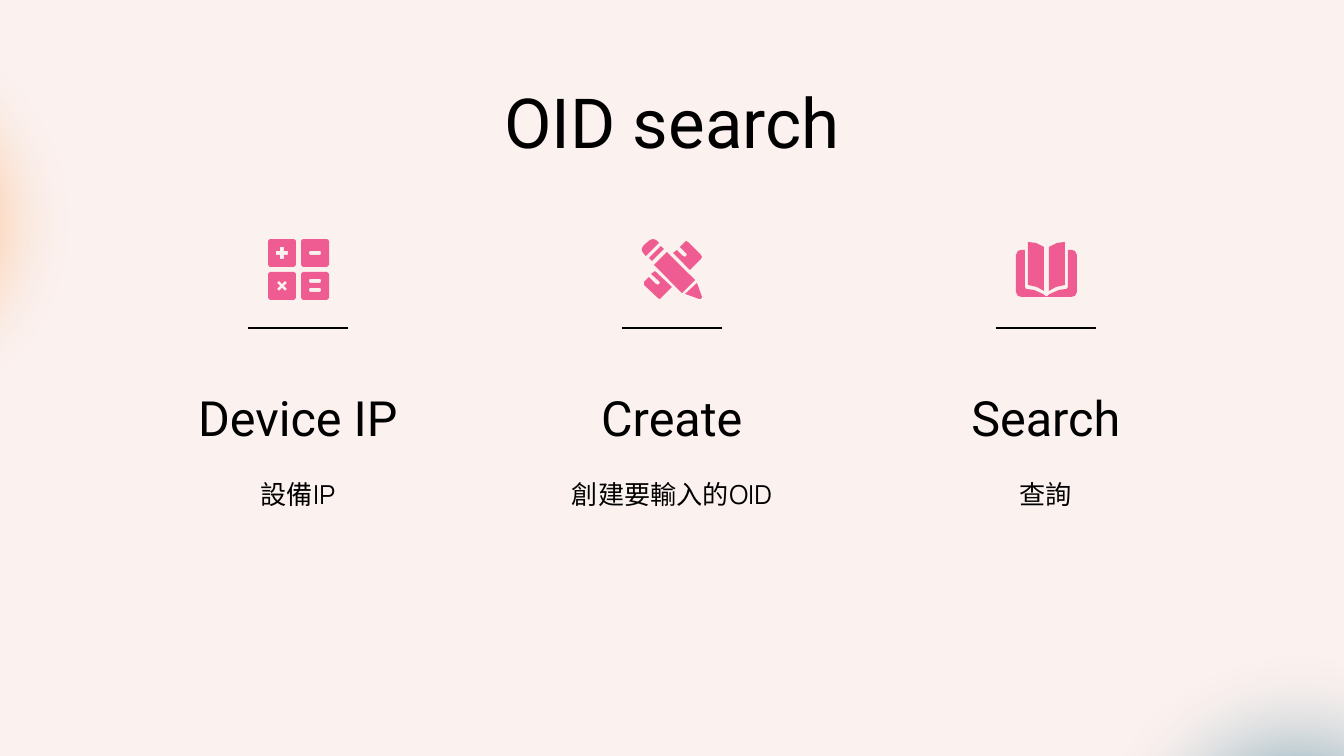
import pptx
import pptx.util
import pptx.oxml
import pptx.oxml.ns
from pptx.dml.color import RGBColor
from pptx.enum.shapes import MSO_CONNECTOR, MSO_SHAPE
from pptx.enum.text import MSO_ANCHOR, PP_ALIGN

PX = 914400 / 134.4
BACKGROUND = RGBColor(0xFB, 0xF1, 0xEF)
INK = RGBColor(0x01, 0x00, 0x00)
PINK = RGBColor(0xEE, 0x5C, 0x91)
ORANGE = RGBColor(0xF9, 0x8F, 0x29)
TEAL = RGBColor(0x63, 0x98, 0xAA)

COLUMN_CENTER, COLUMN_PITCH, COLUMN_WIDTH = 298, 374, 320
ICON_TOP, ICON_SIZE = 239, 61
TILE_SIZE, TILE_PITCH = 28, 33


def px(n):
    return pptx.util.Emu(round(n * PX))


def add_glow(s, x, y, size, color, opacity, middle):
    sp = s.shapes.add_shape(MSO_SHAPE.OVAL, px(x), px(y), px(size), px(size))
    sp.shadow.inherit = False
    sp.line.fill.background()
    stops = [(0, color, opacity), (middle, color, 56),
             (middle + 39, BACKGROUND, 0), (100, BACKGROUND, 0)]
    gs = "".join(
        f'<a:gs pos="{pos * 1000}"><a:srgbClr val="{c}">'
        f'<a:alpha val="{alpha * 1000}"/></a:srgbClr></a:gs>'
        for pos, c, alpha in stops)
    gradient = pptx.oxml.parse_xml(
        f'<a:gradFill {pptx.oxml.ns.nsdecls("a")} rotWithShape="1"><a:gsLst>{gs}</a:gsLst>'
        '<a:path path="circle"><a:fillToRect l="50000" t="50000" r="50000" b="50000"/>'
        '</a:path></a:gradFill>')
    sp._element.spPr.find(pptx.oxml.ns.qn("a:prstGeom")).addnext(gradient)


def add_text(s, text, x, y, w, h, font, size, anchor=MSO_ANCHOR.TOP, spacing=None):
    tf = s.shapes.add_textbox(px(x), px(y), px(w), px(h)).text_frame
    tf.word_wrap = True
    tf.vertical_anchor = anchor
    tf.margin_left = tf.margin_right = tf.margin_top = tf.margin_bottom = pptx.util.Inches(0.1)
    p = tf.paragraphs[0]
    p.text = text
    p.alignment = PP_ALIGN.CENTER
    p.line_spacing = spacing
    p.font.name = font
    p.font.size = pptx.util.Pt(size)
    p.font.color.rgb = INK


def add_rule(s, x, y, w):
    line = s.shapes.add_connector(MSO_CONNECTOR.STRAIGHT, px(x), px(y), px(x + w), px(y))
    line.line.color.rgb = INK
    line.line.width = pptx.util.Pt(0.75)
    line._element.spPr.append(
        pptx.oxml.parse_xml(f'<a:effectLst {pptx.oxml.ns.nsdecls("a")}/>'))


def add_icon(s, x, y, parts):
    group = s.shapes.add_group_shape()
    for contours in parts:
        builder = group.shapes.build_freeform(*contours[0][0], scale=PX)
        builder.add_line_segments(contours[0][1:])
        for contour in contours[1:]:
            builder.move_to(*contour[0])
            builder.add_line_segments(contour[1:])
        sp = builder.convert_to_shape(px(x), px(y))
        sp.shadow.inherit = False
        sp.fill.solid()
        sp.fill.fore_color.rgb = PINK
        sp.line.fill.background()


def rounded(x, y, w, h, r):
    return [(x + r, y), (x + w - r, y), (x + w, y + r), (x + w, y + h - r),
            (x + w - r, y + h), (x + r, y + h), (x, y + h - r), (x, y + r)]


def mirrored(points):
    return [(ICON_SIZE - x, y) for x, y in points]


def shifted(points, dx, dy):
    return [(x + dx, y + dy) for x, y in points]


def calculator_parts():
    plus = [(12, 8), (16, 8), (16, 12), (20, 12), (20, 16), (16, 16),
            (16, 20), (12, 20), (12, 16), (8, 16), (8, 12), (12, 12)]
    times = [(9, 11), (11, 9), (14, 12), (17, 9), (19, 11), (16, 14),
             (19, 17), (17, 19), (14, 16), (11, 19), (9, 17), (12, 14)]
    signs = [[plus], [rounded(8, 12, 12, 4, 1)], [times],
             [rounded(8, y, 12, 4, 1) for y in (7, 16)]]
    tile = rounded(0, 0, TILE_SIZE, TILE_SIZE, 2)
    return [[shifted(c, i % 2 * TILE_PITCH, i // 2 * TILE_PITCH) for c in [tile] + sign]
            for i, sign in enumerate(signs)]


def pencil_parts():
    stripe = [(19, 7), (7, 19), (10, 22), (22, 10)]
    upper_ruler = [(44, 2), (43, 3), (38, 8), (44, 14), (45, 16), (43, 18), (41, 17),
                   (35, 11), (31, 14), (48, 31), (59, 20), (60, 18), (59, 16), (46, 3)]
    shaft = [(25, 13), (12, 26), (40, 54), (53, 41)]
    tip = [(55, 44), (43, 55), (57, 60), (59, 60), (60, 58)]
    lower_ruler = [(13, 32), (9, 35), (17, 42), (18, 44), (16, 46), (14, 45),
                   (7, 38), (2, 43), (2, 46), (16, 59), (18, 60), (19, 59), (30, 48)]
    eraser = [(11, 0), (8, 1), (2, 6), (0, 9), (0, 12), (2, 15), (4, 17), (17, 4), (14, 1)]
    return [[part] for part in (stripe, upper_ruler, shaft, tip, lower_ruler, eraser)]


def book_parts():
    cover = [(52, 11), (52, 48), (51, 50), (43, 51), (34, 55), (30, 58), (55, 58),
             (59, 57), (61, 53), (61, 16), (59, 12), (56, 11)]
    page = [(49, 3), (49, 46), (40, 48), (33, 52), (33, 8), (41, 4)]
    return [[part] for part in (cover, mirrored(page), page, mirrored(cover))]


def add_column(s, center, heading, caption, icon):
    left = center - COLUMN_WIDTH // 2
    add_text(s, caption, left, 460, COLUMN_WIDTH, 128, "Manrope", 14, spacing=1.15)
    add_text(s, heading, left, 390, COLUMN_WIDTH, 70, "Roboto", 26, MSO_ANCHOR.BOTTOM, 1.15)
    add_rule(s, center - 50, 328, 100)
    add_icon(s, center - ICON_SIZE // 2, ICON_TOP, icon)


def main():
    prs = pptx.Presentation()
    prs.slide_width, prs.slide_height = px(1344), px(756)
    s = prs.slides.add_slide(prs.slide_layouts[6])
    s.background.fill.solid()
    s.background.fill.fore_color.rgb = BACKGROUND
    add_glow(s, -360, 0, 444, ORANGE, 80, 28)
    add_glow(s, 1077, 644, 444, TEAL, 82, 29)
    add_text(s, "OID search", 106, 66, 1132, 85, "Roboto", 37)
    columns = [("Device IP", "設備IP", calculator_parts()),
               ("Create", "創建要輸入的OID", pencil_parts()),
               ("Search", "查詢", book_parts())]
    for i, (heading, caption, icon) in enumerate(columns):
        add_column(s, COLUMN_CENTER + i * COLUMN_PITCH, heading, caption, icon)
    prs.save("out.pptx")


if __name__ == "__main__":
    main()
